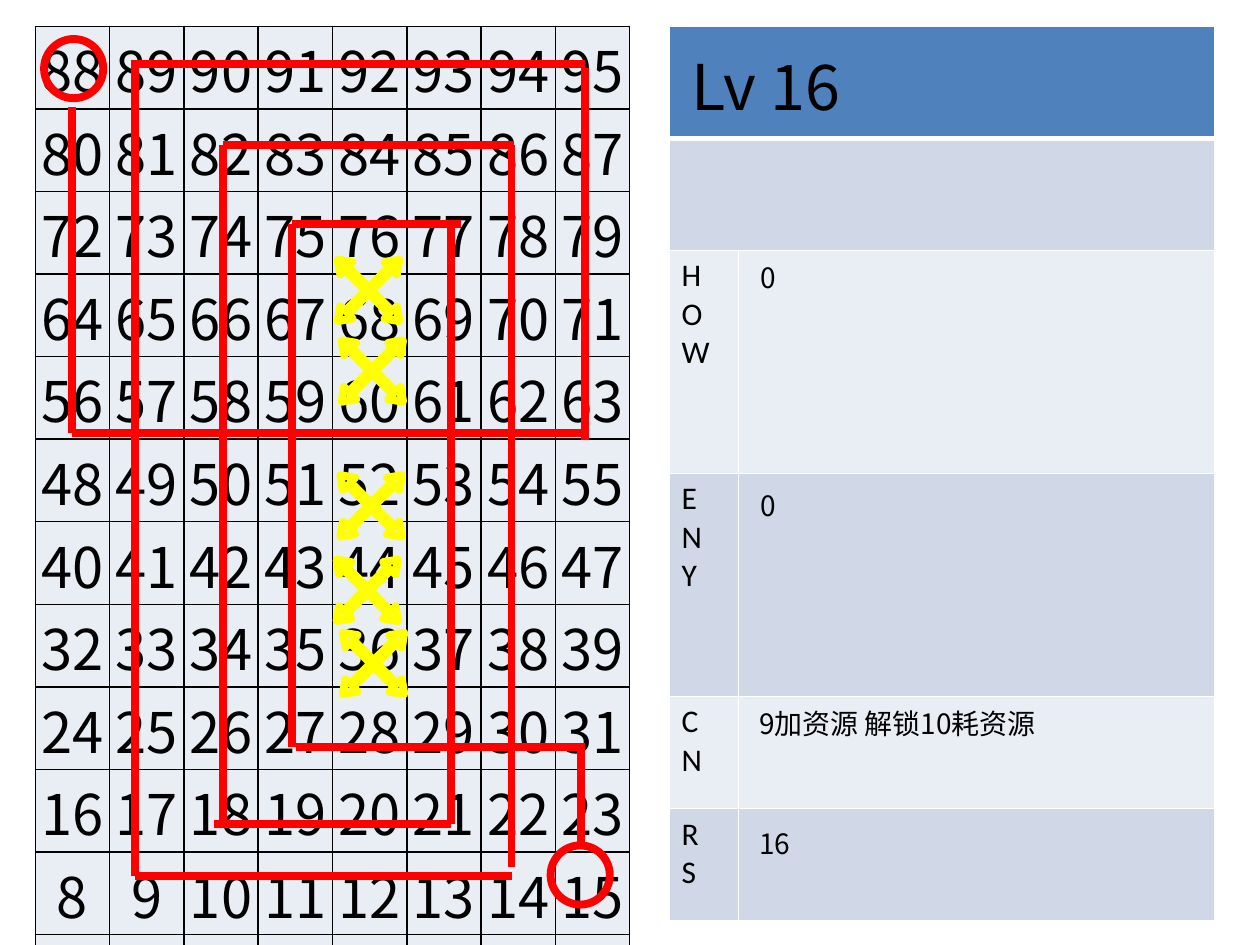
from pptx import Presentation
from pptx.dml.color import RGBColor
from pptx.enum.shapes import MSO_CONNECTOR, MSO_SHAPE
from pptx.enum.text import MSO_ANCHOR, MSO_AUTO_SIZE, PP_ALIGN
from pptx.oxml import parse_xml
from pptx.oxml.ns import nsdecls
from pptx.util import Inches, Pt
from lxml.etree import SubElement

COLORS = {
    "black": "000000", "white": "FFFFFF", "red": "FF0000", "yellow": "FFFF00",
    "header": "4F81BD", "light": "E9EDF4", "dark": "D0D8E8",
}
FONT = "Noto Sans CJK SC"
A = "{http://schemas.openxmlformats.org/drawingml/2006/main}"


def style_text(tf, size, font):
    for p in tf.paragraphs:
        for r in p.runs:
            r.font.size = Pt(size)
            r.font.name = font
            r.font.color.rgb = RGBColor.from_string(COLORS["black"])
            SubElement(r.font._element, A + "ea", typeface=font)


def style_cell(cell, fill, border, bottom=1):
    cell.fill.solid()
    cell.fill.fore_color.rgb = RGBColor.from_string(COLORS[fill])
    tc_pr = cell._tc.get_or_add_tcPr()
    for i, side in enumerate(("lnL", "lnR", "lnT", "lnB")):
        width = Pt(bottom if side == "lnB" else 1)
        tc_pr.insert(i, parse_xml(
            f'<a:{side} {nsdecls("a")} w="{width}"><a:solidFill>'
            f'<a:srgbClr val="{COLORS[border]}"/></a:solidFill></a:{side}>'))


prs = Presentation()
prs.slide_width, prs.slide_height = Inches(10), Inches(7.5)
s = prs.slides.add_slide(prs.slide_layouts[6])

rows, cols = 12, 8
board = s.shapes.add_table(rows, cols, Inches(0.28), Inches(0.21),
                           Inches(4.72), Inches(7.09)).table
for col in board.columns:
    col.width = Inches(0.59)
for i, row in enumerate(board.rows):
    row.height = Inches(0.59)
    for j, cell in enumerate(row.cells):
        cell.text = str((rows - 1 - i) * cols + j)
        cell.vertical_anchor = MSO_ANCHOR.MIDDLE
        cell.margin_left = cell.margin_right = cell.margin_top = Inches(0.01)
        cell.margin_bottom = 0
        cell.text_frame.paragraphs[0].alignment = PP_ALIGN.CENTER
        style_text(cell.text_frame, 32, FONT)
        style_cell(cell, "light", "black")

info_rows = [
    (0.89, "", "header"), (0.89, "", "dark"),
    (1.77, "HOW", "light"), (1.77, "ENY", "dark"),
    (0.89, "CN", "light"), (0.89, "RS", "dark"),
]
info = s.shapes.add_table(len(info_rows), 2, Inches(5.31), Inches(0.21),
                          Inches(4.33), Inches(7.09)).table
info.columns[0].width = Inches(0.55)
info.columns[1].width = Inches(3.78)
for i, (height, label, fill) in enumerate(info_rows):
    info.rows[i].height = Inches(height)
    for cell in info.rows[i].cells:
        style_cell(cell, fill, "white", 3 if i == 0 else 1)
    if label:
        info.cell(i, 0).text = "\v".join(label)
        style_text(info.cell(i, 0).text_frame, 18, "Calibri")
    else:
        info.cell(i, 0).merge(info.cell(i, 1))

notes = [
    ("Lv 16", 5.39, 0.33, 1.44, 0.71, 36, False),
    ("0", 5.94, 2.02, 0.33, 0.37, 16, False),
    ("0", 5.94, 3.83, 0.33, 0.37, 16, False),
    ("9加资源 解锁10耗资源", 5.93, 5.56, 2.46, 0.37, 16, True),
    ("16", 5.93, 6.51, 0.46, 0.37, 16, False),
]
for text, x, y, w, h, size, wrap in notes:
    tf = s.shapes.add_textbox(Inches(x), Inches(y), Inches(w), Inches(h)).text_frame
    tf.text = text
    tf.word_wrap = wrap
    tf.auto_size = MSO_AUTO_SIZE.SHAPE_TO_FIT_TEXT
    style_text(tf, size, FONT)

route = [
    (0.57, 0.85, 0.57, 3.44), (0.57, 3.44, 4.61, 3.44),
    (4.64, 0.54, 4.64, 3.49), (1.06, 0.51, 4.64, 0.51),
    (1.07, 0.48, 1.07, 6.95), (1.07, 6.95, 4.06, 6.95),
    (4.06, 1.15, 4.06, 6.88), (1.77, 1.15, 4.08, 1.15),
    (1.77, 1.15, 1.77, 6.51), (1.7, 6.54, 3.58, 6.54),
    (3.58, 1.78, 3.58, 6.54), (2.32, 1.78, 3.66, 1.78),
    (2.32, 1.78, 2.32, 5.93), (2.35, 5.93, 4.64, 5.93),
    (4.61, 5.93, 4.61, 6.69),
]
for points in route:
    line = s.shapes.add_connector(MSO_CONNECTOR.STRAIGHT, *map(Inches, points))
    line.line.color.rgb = RGBColor.from_string(COLORS["red"])
    line.line.width = Pt(4.5)
    SubElement(line._element.spPr, A + "effectLst")

ends = [(0.35, 0.31), (4.37, 6.71)]
crosses = [(2.58, 1.96), (2.61, 2.6), (2.57, 4.34), (2.6, 3.67), (2.62, 4.92)]
marks = [(MSO_SHAPE.OVAL, x, y, 0.47, "red") for x, y in ends]
marks += [(MSO_SHAPE.QUAD_ARROW, x, y, 0.69, "yellow") for x, y in crosses]
for kind, x, y, size, color in marks:
    sp = s.shapes.add_shape(kind, Inches(x), Inches(y), Inches(size), Inches(size))
    sp.shadow.inherit = False
    sp.fill.background()
    sp.line.color.rgb = RGBColor.from_string(COLORS[color])
    sp.line.width = Pt(4.5)
    if kind == MSO_SHAPE.QUAD_ARROW:
        sp.rotation = 45
        for i, value in enumerate((0.05, 0.1, 0.14)):
            sp.adjustments[i] = value

prs.save("out.pptx")
